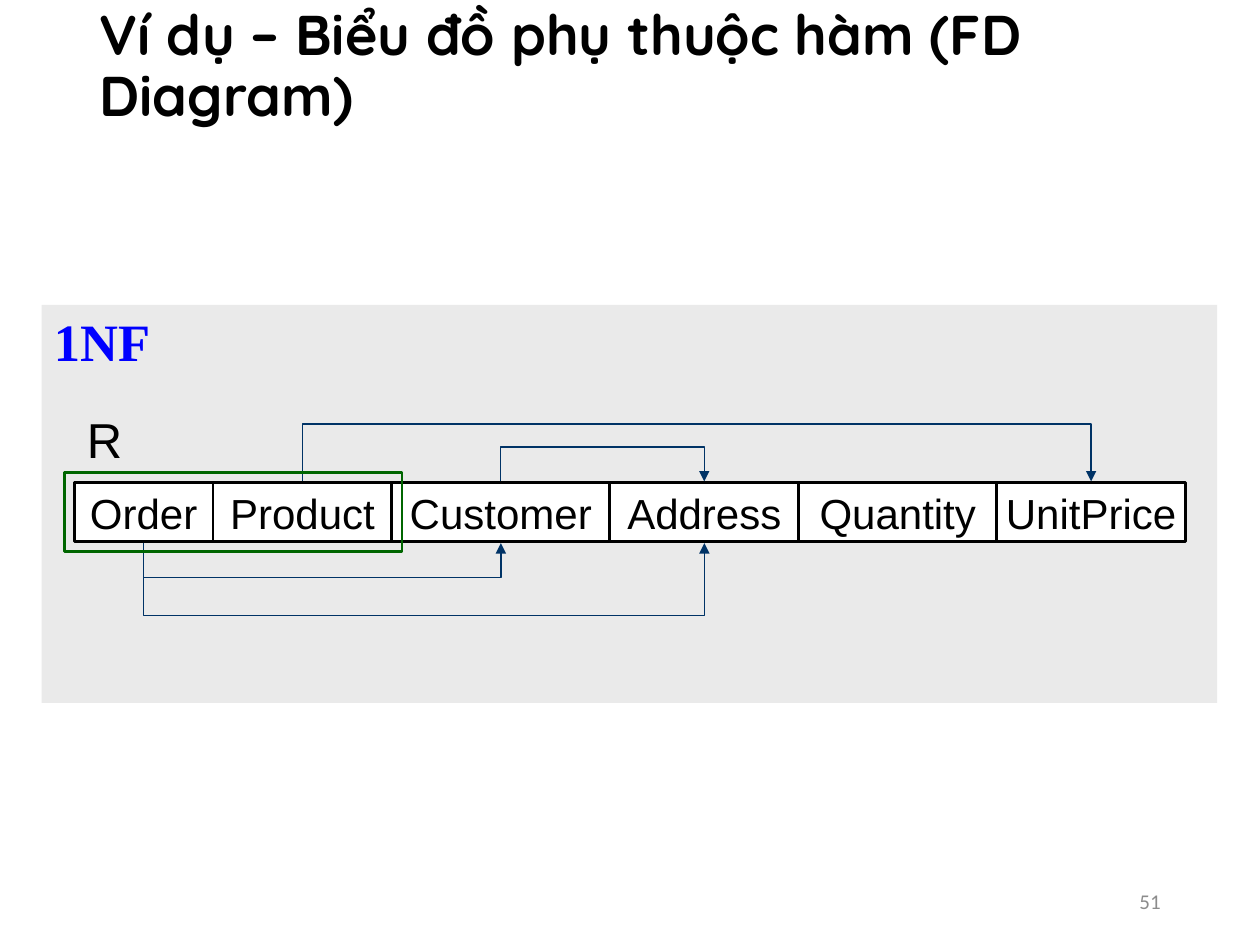
from itertools import accumulate

from lxml import etree
from pptx import Presentation
from pptx.dml.color import RGBColor
from pptx.enum.shapes import MSO_CONNECTOR, MSO_SHAPE
from pptx.enum.text import MSO_ANCHOR, PP_ALIGN
from pptx.oxml.ns import qn
from pptx.util import Inches, Pt

RECT, ELBOW = MSO_SHAPE.RECTANGLE, MSO_CONNECTOR.ELBOW
TOP, MIDDLE = MSO_ANCHOR.TOP, MSO_ANCHOR.MIDDLE
LEFT, CENTER, RIGHT = PP_ALIGN.LEFT, PP_ALIGN.CENTER, PP_ALIGN.RIGHT

ATTRIBUTES = [("Order", 11), ("Product", 14.2), ("Customer", 17.3),
              ("Address", 15), ("Quantity", 15.7), ("UnitPrice", 15)]
ROW_LEFT, ROW_TOP, ROW_HEIGHT = 5.9, 51.07, 6.27
# Determinant, dependent, distance of the link from the row (positive is below)
DEPENDENCIES = [("Order", "Customer", 3.2), ("Order", "Address", 6.8),
                ("Customer", "Address", -3.2), ("Product", "UnitPrice", -5.33)]


def color(value):
    return RGBColor.from_string(value)


class Board:
    """Draws on one slide; places and sizes are percentages of the slide."""

    font, ink, link = "Arial", "000000", "003366"

    def __init__(self, prs):
        self.width, self.height = prs.slide_width, prs.slide_height
        self.s = prs.slides.add_slide(prs.slide_layouts[6])

    def x(self, share):
        return round(self.width * share / 100)

    def y(self, share):
        return round(self.height * share / 100)

    def box(self, x, y, w, h):
        return self.x(x), self.y(y), self.x(w), self.y(h)

    def label(self, sp, text, size, font=None, ink=None, bold=False,
              align=LEFT, anchor=TOP, wrap=False, spacing=1.0):
        tf = sp.text_frame
        tf.word_wrap, tf.vertical_anchor = wrap, anchor
        p = tf.paragraphs[0]
        p.alignment, p.line_spacing = align, spacing
        r = p.add_run()
        r.text = text
        r.font.name, r.font.size, r.font.bold = font or self.font, Pt(size), bold
        r.font.color.rgb = color(ink or self.ink)

    def text(self, box, text, size, **style):
        self.label(self.s.shapes.add_textbox(*self.box(*box)), text, size, **style)

    def rect(self, box, fill=None, line=None):
        sp = self.s.shapes.add_shape(RECT, *self.box(*box))
        sp.shadow.inherit = False
        if fill:
            sp.fill.solid()
            sp.fill.fore_color.rgb = color(fill)
        else:
            sp.fill.background()
        if line:
            sp.line.color.rgb = color(line)
            sp.line.width = Pt(1.5)
        else:
            sp.line.fill.background()
        return sp

    def bracket(self, start, end, y, depth):
        """Elbow arrow between two points at height y, turned a quarter so it bulges by depth."""
        thin, span = Pt(0.1), self.x(end - start)
        c = self.s.shapes.add_connector(ELBOW, 0, 0, 0, 0)
        c.left = self.x((start + end) / 2) - thin // 2
        c.top = self.y(y) - span // 2
        c.width, c.height = thin, span
        c.line.color.rgb = color(self.link)
        c.line.width = Pt(0.75)
        spPr = c._element.spPr
        turn, flip = (270, "flipH") if depth > 0 else (90, "flipV")
        spPr.xfrm.set("rot", str(turn * 60000))
        spPr.xfrm.set(flip, "1")
        adjustment = round(self.y(depth) / thin * 100000)
        etree.SubElement(spPr.prstGeom.get_or_add_avLst(), qn("a:gd"),
                         name="adj1", fmla=f"val {adjustment}")
        etree.SubElement(spPr.find(qn("a:ln")), qn("a:tailEnd"), type="triangle")
        etree.SubElement(spPr, qn("a:effectLst"))


def main():
    prs = Presentation()
    prs.slide_width, prs.slide_height = Inches(10), Inches(7.5)
    board = Board(prs)

    board.rect((3.3, 32.27, 93.3, 42.13), fill="EAEAEA")
    board.text((3.3, 32, 9.7, 8.13), "1NF", 30, font="Times New Roman",
               ink="0000FF", bold=True)
    board.text((6.9, 2, 86.2, 10.4), "Ví dụ – Biểu đồ phụ thuộc hàm (FD Diagram)", 32,
               font="Quicksand", bold=True, anchor=MIDDLE, wrap=True, spacing=0.9)
    board.text((5.9, 42.67, 4.8, 7.6), "R", 28)

    edges = accumulate((w for _, w in ATTRIBUTES), initial=ROW_LEFT)
    centers = {}
    for (name, width), left in zip(ATTRIBUTES, edges):
        cell = board.rect((left, ROW_TOP, width, ROW_HEIGHT), "FFFFFF", board.ink)
        board.label(cell, name, 24, align=CENTER, anchor=MIDDLE)
        centers[name] = left + width / 2

    for source, target, depth in DEPENDENCIES:
        y = ROW_TOP + ROW_HEIGHT + 0.13 if depth > 0 else ROW_TOP - 0.13
        board.bracket(centers[source], centers[target], y, depth)

    key_width = sum(w for _, w in ATTRIBUTES[:2])
    board.rect((ROW_LEFT - 0.8, ROW_TOP - 1.07, key_width + 1.6, ROW_HEIGHT + 2.13),
               line="006600")
    board.text((70.6, 92.67, 22.5, 5.33), "51", 12, font="Calibri", ink="8C8C8C",
               align=RIGHT, anchor=MIDDLE, wrap=True)

    prs.save("out.pptx")


if __name__ == "__main__":
    main()
